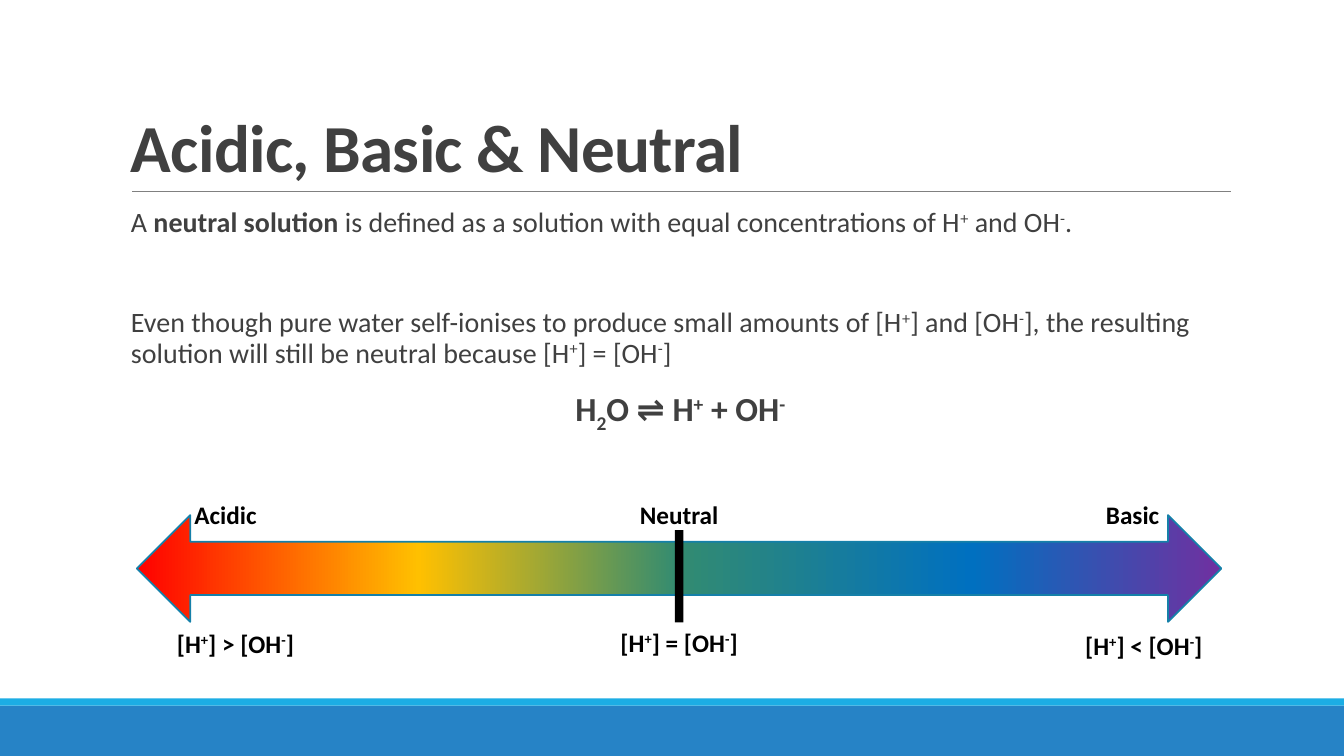
from dataclasses import dataclass

from lxml import etree
from pptx import Presentation
from pptx import util as u
from pptx.dml.color import RGBColor
from pptx.enum import shapes, text
from pptx.oxml.ns import qn


@dataclass(frozen=True)
class Theme:
    font: str = "Calibri"
    ink: str = "404040"
    black: str = "000000"
    rule: str = "808080"
    band: str = "2683C6"
    strip: str = "1CADE4"
    edge: str = "1580A9"
    ramp: tuple = ((0, "FF0000"), (26, "FFC000"), (50, "328B71"),
                   (77, "0070C0"), (100, "7030A0"))
    head: int = 48
    body: int = 20
    eqn: int = 24
    label: int = 18


T = Theme()
BASE = {"^": "30000", "_": "-25000"}
MID, LEFT = text.PP_ALIGN.CENTER, text.PP_ALIGN.LEFT


def apply(obj, vals):
    for key, val in vals.items():
        setattr(obj, key, val)


def cms(*nums):
    return [u.Cm(n) for n in nums]


def write(para, words, size, hue, bold=False):
    """Fill a paragraph: *bold*, ^raised^ and _lowered_ parts."""
    mark, part = "", ""
    for char in words + "\0":
        if char not in "*^_\0":
            part += char
            continue
        if part:
            run = para.add_run()
            run.text = part
            apply(run.font, {"name": T.font, "size": u.Pt(size),
                             "bold": bold or mark == "*"})
            run.font.color.rgb = RGBColor.from_string(hue)
            if mark in BASE:
                run.font._element.set("baseline", BASE[mark])
        mark, part = ("" if mark else char), ""


def frame(slide, box, **vals):
    area = slide.shapes.add_textbox(*cms(*box))
    apply(area.text_frame, {"word_wrap": True, **vals})
    return area


def line(slide, ends, hue, width):
    rule = slide.shapes.add_connector(shapes.MSO_CONNECTOR.STRAIGHT, *cms(*ends))
    rule.line.color.rgb = RGBColor.from_string(hue)
    rule.line.width = u.Pt(width)
    etree.SubElement(rule._element.spPr, qn("a:effectLst"))
    return rule


def footer(slide, box):
    x, y, w, h = box
    thin = 0.18
    for top, high, hue in ((y + thin, h - thin, T.band), (y, thin, T.strip)):
        bar = slide.shapes.add_shape(shapes.MSO_SHAPE.RECTANGLE, *cms(x, top, w, high))
        bar.shadow.inherit = False
        bar.fill.solid()
        bar.fill.fore_color.rgb = RGBColor.from_string(hue)
        bar.line.fill.background()


def title(slide, box, words):
    x, y, w, h = box
    line(slide, (x + 0.28, y + h, x + w + 0.02, y + h), T.rule, 0.5)
    area = frame(slide, box, vertical_anchor=text.MSO_ANCHOR.BOTTOM)
    para = area.text_frame.paragraphs[0]
    para.line_spacing = 0.85
    write(para, words, T.head, T.ink, True)
    para.runs[0].font._element.set("spc", "-50")


def body(slide, box, rows):
    tf = frame(slide, box, margin_left=0, margin_right=0).text_frame
    for num, (words, size, bold, align, gap) in enumerate(rows):
        para = tf.add_paragraph() if num else tf.paragraphs[0]
        apply(para, {"alignment": align, "line_spacing": 0.9,
                     "space_before": u.Pt(gap), "space_after": u.Pt(2)})
        para._p.get_or_add_pPr().set("marL", str(u.Cm(0.25)))
        write(para, words, size, T.ink, bold)


def label(slide, box, words):
    area = frame(slide, box, auto_size=text.MSO_AUTO_SIZE.SHAPE_TO_FIT_TEXT)
    para = area.text_frame.paragraphs[0]
    para.alignment = MID
    write(para, words, T.label, T.black, True)
    return area


def scale(slide, box, items):
    x, y, w, h = box
    wide, high = 4.47, 1.02

    # Rainbow arrow
    arrow = slide.shapes.add_shape(shapes.MSO_SHAPE.LEFT_RIGHT_ARROW,
                                   *cms(x, y + 0.53, w, 2.69))
    arrow.shadow.inherit = False
    arrow.fill.gradient()
    arrow.fill.gradient_angle = 0
    stops = arrow._element.spPr.find(".//" + qn("a:gsLst"))
    for old in list(stops):
        stops.remove(old)
    for pos, hue in T.ramp:
        stop = etree.SubElement(stops, qn("a:gs"), pos=str(pos * 1000))
        etree.SubElement(stop, qn("a:srgbClr"), val=hue)
    arrow.line.color.rgb = RGBColor.from_string(T.edge)
    arrow.line.width = u.Pt(1.25)

    # Neutral mark
    mid = x + w / 2
    mark = line(slide, (mid, y + 0.91, mid, y + h - high), T.black, 6)

    # Names above, conditions below
    step = (w - wide) / (len(items) - 1)
    for num, (name, rule, dx, dy) in enumerate(items):
        left = x + num * step
        label(slide, (left, y, wide, high), name)
        low = label(slide, (left + dx, y + h - high + dy, wide, high), rule)
        if name == "Neutral":
            mark.end_connect(low, 0)


def main():
    prs = Presentation()
    apply(prs, {"slide_width": u.Cm(33.87), "slide_height": u.Cm(19.05)})
    slide = prs.slides.add_slide(prs.slide_layouts[6])
    footer(slide, (0, 17.6, 33.87, 1.45))
    title(slide, (3.05, 0.79, 27.94, 4.04), "Acidic, Basic & Neutral")
    body(slide, (3.05, 5.13, 27.94, 11.18), (
        ("A *neutral solution *is defined as a solution with equal "
         "concentrations of H^+^ and OH^-^.", T.body, False, LEFT, 0),
        ("Even though pure water self-ionises to produce small amounts of "
         "[H^+^] and [OH^-^], the resulting solution will still be neutral "
         "because [H^+^] = [OH^-^]", T.body, False, LEFT, 48),
        ("H_2_O ⇌ H^+^ + OH^-^", T.eqn, True, MID, 12)))
    scale(slide, (3.45, 12.45, 27.33, 4.25), (
        ("Acidic", "[H^+^] > [OH^-^]", 0.25, 0.02),
        ("Neutral", "[H^+^] = [OH^-^]", 0, 0),
        ("Basic", "[H^+^] < [OH^-^]", 0.28, 0.07)))
    prs.save("out.pptx")


if __name__ == "__main__":
    main()
